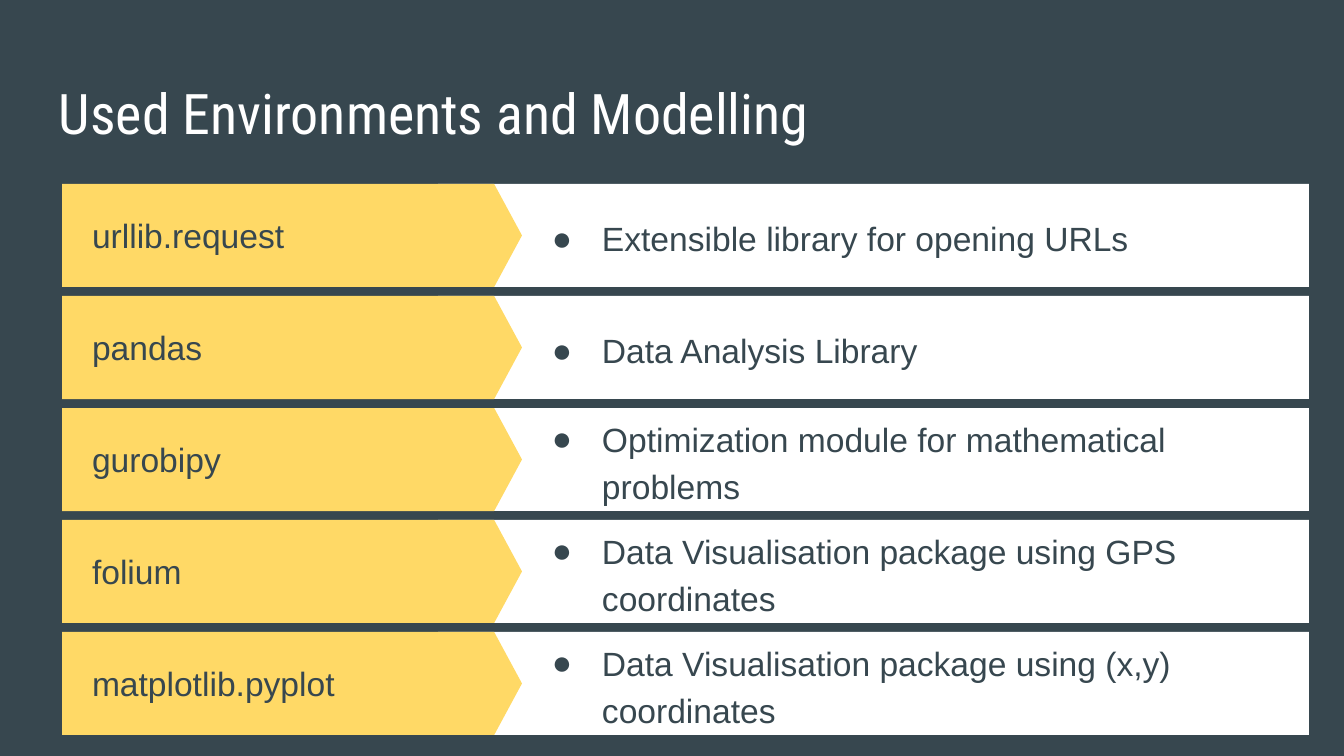
from dataclasses import dataclass

from lxml.etree import SubElement
from pptx import Presentation
from pptx.dml.color import RGBColor
from pptx.enum.shapes import MSO_SHAPE
from pptx.enum.text import MSO_ANCHOR, MSO_AUTO_SIZE, PP_ALIGN
from pptx.oxml.ns import qn
from pptx.util import Emu, Pt


@dataclass(frozen=True)
class Theme:
    slate: RGBColor = RGBColor(0x37, 0x47, 0x4F)
    yellow: RGBColor = RGBColor(0xFF, 0xD9, 0x66)
    white: RGBColor = RGBColor(0xFF, 0xFF, 0xFF)
    title_font: str = "Roboto Condensed"
    body_font: str = "Arial"
    title_size: int = 30
    body_size: int = 18


THEME = Theme()
EMU_PER_PX = 914400 / 134.4
SLIDE_WIDTH, SLIDE_HEIGHT = 1344, 756
INSET = 13

# Rows share one height and one step
ROW_TOP, ROW_STEP, ROW_HEIGHT = 184, 112, 103
LIBRARIES = [
    ("urllib.request", "Extensible library for opening URLs"),
    ("pandas", "Data Analysis Library"),
    ("gurobipy", "Optimization module for mathematical problems"),
    ("folium", "Data Visualisation package using GPS coordinates"),
    ("matplotlib.pyplot", "Data Visualisation package using (x,y) coordinates"),
]


def px(length):
    return Emu(round(length * EMU_PER_PX))


def place(placeholder, left, top, width, height):
    placeholder.left, placeholder.top = px(left), px(top)
    placeholder.width, placeholder.height = px(width), px(height)


def write(placeholder, text, font, size, color, anchor):
    """Fill a placeholder with one left-aligned paragraph and return it."""
    frame = placeholder.text_frame
    frame.word_wrap = True
    frame.auto_size = MSO_AUTO_SIZE.NONE
    frame.vertical_anchor = anchor
    frame.margin_left = frame.margin_right = px(INSET)
    frame.margin_top = frame.margin_bottom = px(INSET)
    paragraph = frame.paragraphs[0]
    paragraph.alignment = PP_ALIGN.LEFT
    paragraph.space_before = Pt(0)
    run = paragraph.add_run()
    run.text = text
    run.font.name = font
    run.font.size = Pt(size)
    run.font.color.rgb = color
    return paragraph


def set_bullet(paragraph, char=None, indent=0, hanging=0):
    properties = paragraph._p.get_or_add_pPr()
    properties.set("marL", str(px(indent)))
    properties.set("indent", str(-px(hanging)))
    if char is None:
        SubElement(properties, qn("a:buNone"))
        return
    bullet_color = SubElement(properties, qn("a:buClr"))
    SubElement(bullet_color, qn("a:srgbClr")).set("val", str(THEME.slate))
    SubElement(properties, qn("a:buChar")).set("char", char)


def add_body(slide, body_layout, text, left, top, width):
    slide.shapes.clone_placeholder(body_layout)
    body = slide.shapes[-1]
    place(body, left, top, width, ROW_HEIGHT)
    return write(body, text, THEME.body_font, THEME.body_size, THEME.slate,
                 MSO_ANCHOR.MIDDLE)


def add_panel(group, preset, left, top, width, color):
    panel = group.shapes.add_shape(
        preset, px(left), px(top), px(width), px(ROW_HEIGHT))
    panel.shadow.inherit = False
    panel.fill.solid()
    panel.fill.fore_color.rgb = color
    panel.line.fill.background()
    return panel


def add_library_row(slide, body_layout, top, library, purpose):
    # White band with the yellow pointer over its left end
    band = slide.shapes.add_group_shape()
    add_panel(band, MSO_SHAPE.RECTANGLE, 438, top, 871, THEME.white)
    pointer = add_panel(band, MSO_SHAPE.PENTAGON, 62, top, 460, THEME.yellow)
    pointer.adjustments[0] = 0.27

    # Library name and its purpose
    name = add_body(slide, body_layout, library, 79, top, 364)
    set_bullet(name)
    description = add_body(slide, body_layout, purpose, 522, top, 769)
    description.line_spacing = 1.15
    set_bullet(description, "●", indent=67, hanging=50)


def main():
    deck = Presentation()
    deck.slide_width, deck.slide_height = px(SLIDE_WIDTH), px(SLIDE_HEIGHT)
    layout = deck.slide_layouts.get_by_name("Title and Content")
    slide = deck.slides.add_slide(layout)
    slide.background.fill.solid()
    slide.background.fill.fore_color.rgb = THEME.slate

    # Title
    title = slide.shapes.title
    place(title, 46, 66, 1252, 85)
    write(title, "Used Environments and Modelling", THEME.title_font,
          THEME.title_size, THEME.white, MSO_ANCHOR.TOP)

    # Each row gets its own body placeholders, so the first one goes
    unused_body = slide.placeholders[1].element
    unused_body.getparent().remove(unused_body)
    body_layout = layout.placeholders[1]
    for row, (library, purpose) in enumerate(LIBRARIES):
        add_library_row(slide, body_layout, ROW_TOP + row * ROW_STEP,
                        library, purpose)

    deck.save("out.pptx")


if __name__ == "__main__":
    main()
